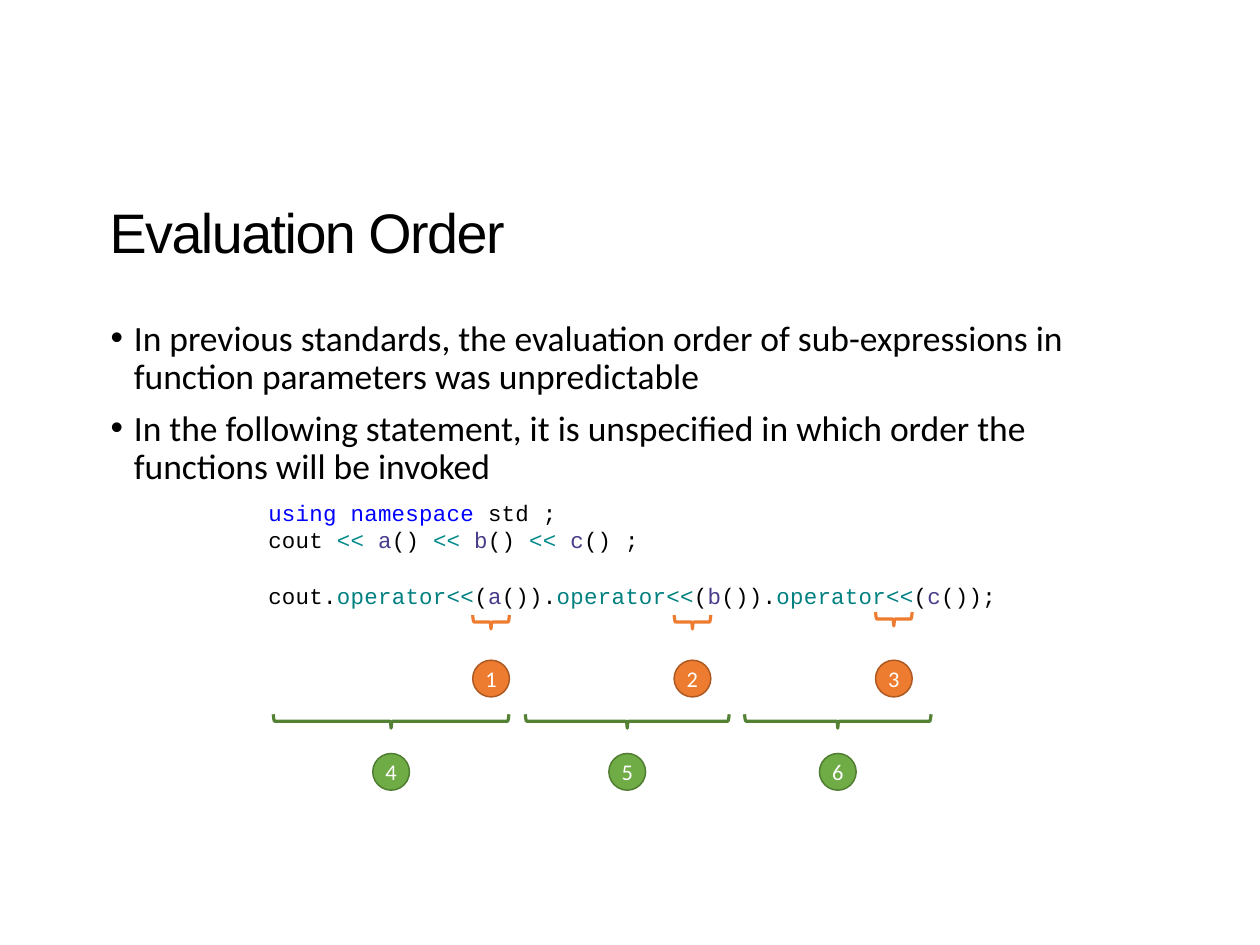
from lxml.etree import SubElement
from pptx import Presentation
from pptx.dml.color import RGBColor
from pptx.enum.shapes import MSO_SHAPE
from pptx.enum.text import MSO_ANCHOR, PP_ALIGN
from pptx.oxml.ns import qn
from pptx.util import Cm, Pt

BLACK = RGBColor(0x00, 0x00, 0x00)
WHITE = RGBColor(0xFF, 0xFF, 0xFF)
KEYWORD = RGBColor(0x00, 0x00, 0xFF)
STREAM = RGBColor(0x00, 0x8A, 0x8A)
OPERATOR = RGBColor(0x00, 0x80, 0x80)
CALL = RGBColor(0x48, 0x3D, 0x8A)
ORANGE = RGBColor(0xED, 0x7C, 0x31)
DARK_ORANGE = RGBColor(0xAE, 0x59, 0x21)
GREEN = RGBColor(0x70, 0xAC, 0x46)
DARK_GREEN = RGBColor(0x54, 0x82, 0x34)
GREEN_EDGE = RGBColor(0x50, 0x7E, 0x31)

TITLE_FONT = {"name": "Arial", "size": Pt(31.8)}
BULLET_FONT = {"name": "Calibri", "size": Pt(20.3)}
CODE_FONT = {"name": "Courier New", "size": Pt(12.8)}
NUMBER_FONT = {"name": "Calibri", "size": Pt(12.8)}
FRAME_FORMAT = {"margin_left": 0, "margin_top": 0, "margin_right": 0, "margin_bottom": 0}

BULLETS = [
    "In previous standards, the evaluation order of sub-expressions in "
    "function parameters was unpredictable",
    "In the following statement, it is unspecified in which order the "
    "functions will be invoked",
]
FUNCTIONS = "abc"
DISC_SIZE = 0.74
BRACE_DEPTH = 0.28


def apply_format(target, values):
    for attribute, value in values.items():
        setattr(target, attribute, value)


def add_run(paragraph, text, font, color=BLACK, tracking=0):
    """Add styled text; tracking is in hundredths of a point."""
    run = paragraph.add_run()
    run.text = text
    apply_format(run.font, font)
    run.font.color.rgb = color
    if tracking:
        run.font._element.set("spc", str(tracking))


def add_frame(slide, left, top, width, height):
    frame = slide.shapes.add_textbox(Cm(left), Cm(top), Cm(width), Cm(height)).text_frame
    apply_format(frame, FRAME_FORMAT | {"word_wrap": True})
    return frame


def indent(paragraph, margin, first=0):
    properties = paragraph._p.get_or_add_pPr()
    properties.set("marL", str(Cm(margin)))
    properties.set("indent", str(Cm(first)))
    return properties


def add_bullet(paragraph, text, space_before):
    properties = indent(paragraph, 0.49, -0.47)
    SubElement(properties, qn("a:buFont"), typeface="Arial")
    SubElement(properties, qn("a:buChar"), char="•")
    apply_format(paragraph, {"line_spacing": Pt(22.1), "space_before": Pt(space_before)})
    add_run(paragraph, text, BULLET_FONT)


def add_code(paragraph, pieces, space_before):
    indent(paragraph, 3.2)
    paragraph.space_before = Pt(space_before)
    for text, color in pieces:
        add_run(paragraph, text, CODE_FONT, color, tracking=15)


def code_lines():
    """Give each line's coloured pieces and the space before it."""
    stream, chained = [("cout ", BLACK)], [("cout.", BLACK)]
    for name in FUNCTIONS:
        last = name == FUNCTIONS[-1]
        stream += [("<< ", STREAM), (name, CALL), ("() ;" if last else "() ", BLACK)]
        chained += [("operator<<", OPERATOR), ("(", BLACK), (name, CALL),
                    ("());" if last else "()).", BLACK)]
    return [([("using namespace ", KEYWORD), ("std ;", BLACK)], 6.9),
            (stream, 0.3), (chained, 16.8)]


def add_brace(slide, left, top, width, color):
    """Draw a brace that opens upward, with its tip at the middle."""
    middle = width / 2
    half = [(0, 0), (0.01, 0.09), (0.02, 0.13), (0.03, 0.14), (middle - 0.02, 0.14),
            (middle - 0.01, 0.18), (middle, BRACE_DEPTH)]
    outline = half + [(width - x, y) for x, y in reversed(half[:-1])]
    points = [(Cm(left + x), Cm(top + y)) for x, y in outline]
    builder = slide.shapes.build_freeform(*points[0])
    builder.add_line_segments(points[1:], close=False)
    brace = builder.convert_to_shape()
    brace.shadow.inherit = False
    brace.fill.background()
    brace.line.color.rgb = color
    brace.line.width = Pt(1.8)


def add_disc(slide, center, top, number, fill, edge):
    disc = slide.shapes.add_shape(MSO_SHAPE.OVAL, Cm(center - DISC_SIZE / 2), Cm(top),
                                  Cm(DISC_SIZE), Cm(DISC_SIZE))
    disc.shadow.inherit = False
    disc.fill.solid()
    disc.fill.fore_color.rgb = fill
    disc.line.color.rgb = edge
    disc.line.width = Pt(0.84)
    frame = disc.text_frame
    apply_format(frame, FRAME_FORMAT | {"word_wrap": False,
                                        "vertical_anchor": MSO_ANCHOR.MIDDLE})
    frame.paragraphs[0].alignment = PP_ALIGN.CENTER
    add_run(frame.paragraphs[0], str(number), NUMBER_FONT, WHITE)


def main():
    presentation = Presentation()
    presentation.slide_width, presentation.slide_height = Cm(25.4), Cm(19.05)
    slide = presentation.slides.add_slide(presentation.slide_layouts[6])

    title = add_frame(slide, 2.21, 3.98, 14.3, 1.4)
    add_run(title.paragraphs[0], "Evaluation Order", TITLE_FONT, tracking=-85)

    body = add_frame(slide, 2.21, 6.44, 19.35, 5.8)
    add_bullet(body.paragraphs[0], BULLETS[0], 0)
    add_bullet(body.add_paragraph(), BULLETS[1], 7.2)
    for pieces, space_before in code_lines():
        add_code(body.add_paragraph(), pieces, space_before)

    for step, brace_top in enumerate((12.4, 12.4, 12.34)):
        left = 9.53 + 4.06 * step
        add_brace(slide, left, brace_top, DISC_SIZE, ORANGE)
        add_disc(slide, left + DISC_SIZE / 2, 13.31, step + 1, ORANGE, DARK_ORANGE)

    call_spans = [(5.51, 4.75), (10.59, 4.11), (15.01, 3.76)]
    for number, (left, width) in enumerate(call_spans, start=4):
        add_brace(slide, left, 14.4, width, DARK_GREEN)
        add_disc(slide, left + width / 2, 15.19, number, GREEN, GREEN_EDGE)

    presentation.save("out.pptx")


if __name__ == "__main__":
    main()
